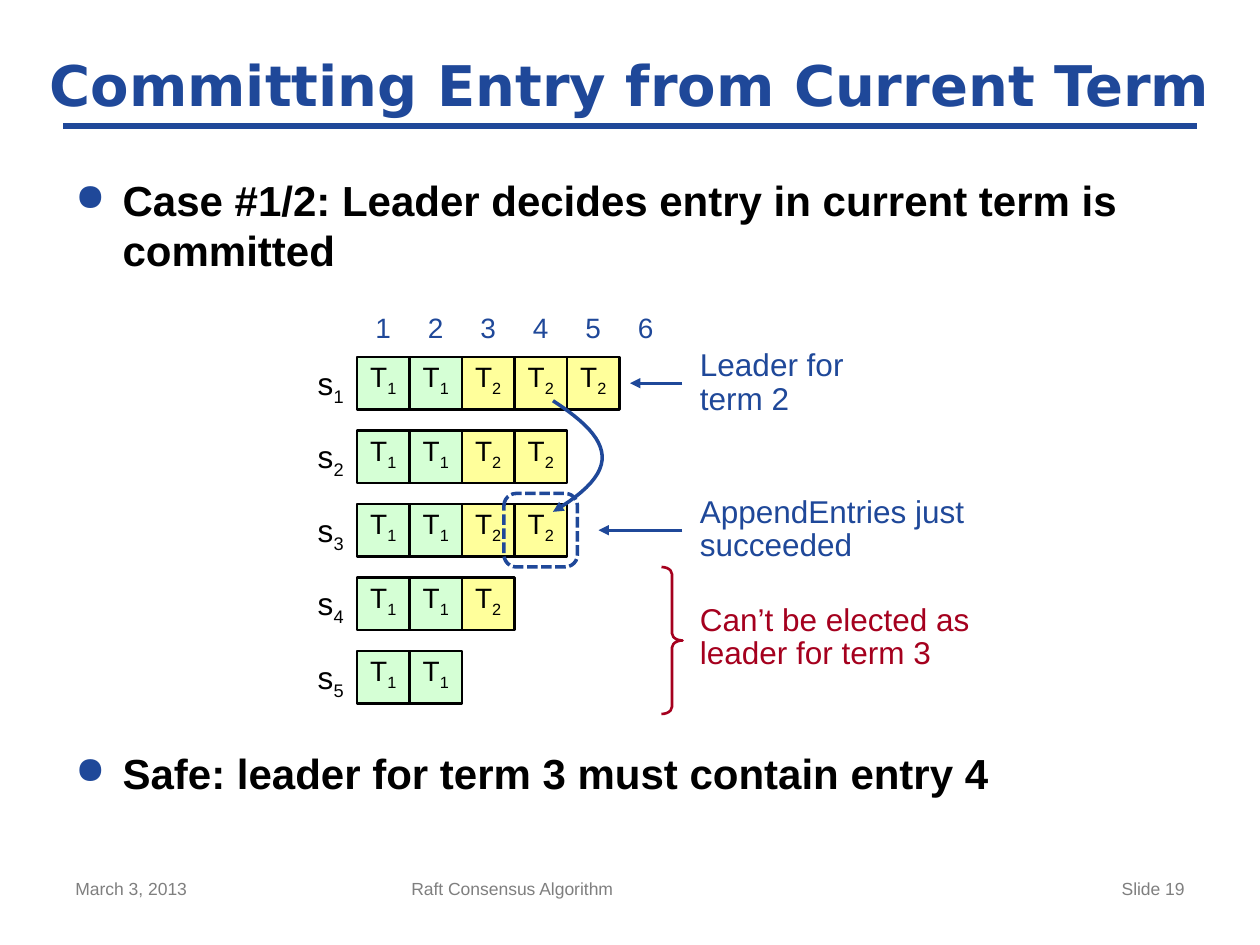
from dataclasses import dataclass

from lxml import etree
from pptx import Presentation
from pptx.dml.color import RGBColor
from pptx.enum.dml import MSO_LINE
from pptx.enum.shapes import MSO_CONNECTOR, MSO_SHAPE
from pptx.enum.text import MSO_ANCHOR, PP_ALIGN
from pptx.oxml.ns import qn
from pptx.util import Pt

LEFT, CENTER, RIGHT = PP_ALIGN.LEFT, PP_ALIGN.CENTER, PP_ALIGN.RIGHT
TOP, MIDDLE = MSO_ANCHOR.TOP, MSO_ANCHOR.MIDDLE
STRAIGHT = MSO_CONNECTOR.STRAIGHT
SHORT_DASH = MSO_LINE.SQUARE_DOT


@dataclass(frozen=True)
class Theme:
    body_font: str = "Arial"
    title_font: str = "DejaVu Sans"
    blue: str = "1F4899"
    red: str = "A5001E"
    gray: str = "7F7F7F"
    black: str = "000000"
    term_1: str = "D5FFD5"
    term_2: str = "FFFF9B"
    title_size: int = 32
    body_size: int = 24
    label_size: int = 18
    cell_size: int = 16
    footer_size: int = 10


theme = Theme()


def write(shape, text, *, size, color=theme.black, font=theme.body_font,
          bold=False, align=LEFT, anchor=TOP, spacing=None, inset=True):
    """Fill a shape with text: newline splits paragraphs, \\v breaks a line,
    and an underscore starts a subscript."""
    frame = shape.text_frame
    frame.word_wrap = True
    frame.vertical_anchor = anchor
    if not inset:
        frame.margin_left = frame.margin_right = 0
        frame.margin_top = frame.margin_bottom = 0
    for index, line in enumerate(text.split("\n")):
        paragraph = frame.add_paragraph() if index else frame.paragraphs[0]
        base, _, subscript = line.partition("_")
        paragraph.text = base
        if subscript:
            run = paragraph.add_run()
            run.text = subscript
            run.font._element.set("baseline", "-25000")
        paragraph.alignment = align
        if spacing:
            paragraph.line_spacing = Pt(spacing)
        for run in paragraph.runs:
            run.font.name = font
            run.font.size = Pt(size)
            run.font.bold = bold
            run.font.color.rgb = RGBColor.from_string(color)


def outline(shape, color, width, arrow=False):
    """Draw a shadowless line, with an arrowhead at its end if asked."""
    shape.line.color.rgb = RGBColor.from_string(color)
    shape.line.width = Pt(width)
    properties = shape._element.spPr
    if arrow:
        etree.SubElement(properties.find(qn("a:ln")), qn("a:tailEnd"), type="triangle")
    etree.SubElement(properties, qn("a:effectLst"))


presentation = Presentation()
presentation.slide_width, presentation.slide_height = Pt(720), Pt(540)
slide = presentation.slides.add_slide(presentation.slide_layouts[6])
shapes = slide.shapes

# Title and rule
rule = shapes.add_connector(STRAIGHT, Pt(36), Pt(72), Pt(684), Pt(72))
outline(rule, theme.blue, 4)
title = shapes.add_textbox(Pt(18), Pt(24), Pt(684), Pt(48))
write(title, "Committing Entry from Current Term", size=theme.title_size,
      color=theme.blue, font=theme.title_font, bold=True, align=CENTER, anchor=MIDDLE)

# Bullets, with the log diagram in the gap between them
body = shapes.add_textbox(Pt(36), Pt(96), Pt(648), Pt(387))
write(body, "Case #1/2: Leader decides entry in current term is committed\n"
            "Safe: leader for term 3 must contain entry 4",
      size=theme.body_size, bold=True)
body.text_frame.paragraphs[1].space_before = Pt(270)
for paragraph in body.text_frame.paragraphs:
    properties = paragraph._p.get_or_add_pPr()
    properties.set("marL", str(Pt(27)))
    properties.set("indent", str(-Pt(27)))
    bullet_color = etree.SubElement(properties, qn("a:buClr"))
    etree.SubElement(bullet_color, qn("a:srgbClr"), val=theme.blue)
    etree.SubElement(properties, qn("a:buSzPct"), val="90000")
    etree.SubElement(properties, qn("a:buChar"), char="●")

# Footer
for left, width, text, align in (
    (36, 168, "March 3, 2013", LEFT),
    (228, 270, "Raft Consensus Algorithm", LEFT),
    (516, 168, "Slide 19", RIGHT),
):
    footer = shapes.add_textbox(Pt(left), Pt(498), Pt(width), Pt(31))
    write(footer, text, size=theme.footer_size, color=theme.gray, align=align)

# Server logs: one row per server, one cell per entry, holding its term
log_left, log_top, cell, row_step = 204, 204, 30, 42
server_logs = ((1, 1, 2, 2, 2), (1, 1, 2, 2), (1, 1, 2, 2), (1, 1, 2), (1, 1))
term_fills = {1: theme.term_1, 2: theme.term_2}

for column in range(6):
    index_label = shapes.add_textbox(
        Pt(log_left + column * cell), Pt(174), Pt(cell), Pt(26.6))
    write(index_label, str(column + 1), size=theme.cell_size, color=theme.blue, align=CENTER)

for row, terms in enumerate(server_logs):
    top = log_top + row * row_step
    server = shapes.add_textbox(Pt(log_left - cell), Pt(top + 4), Pt(cell), Pt(21.6))
    write(server, f"s_{row + 1}", size=theme.label_size, align=CENTER, inset=False)
    for column, term in enumerate(terms):
        entry = shapes.add_shape(MSO_SHAPE.RECTANGLE, Pt(log_left + column * cell),
                                 Pt(top), Pt(cell), Pt(cell))
        entry.fill.solid()
        entry.fill.fore_color.rgb = RGBColor.from_string(term_fills[term])
        outline(entry, theme.black, 1.5)
        write(entry, f"T_{term}", size=theme.cell_size, align=CENTER, anchor=MIDDLE,
              spacing=17, inset=False)

# Highlight around the entry just appended
highlight = shapes.add_shape(MSO_SHAPE.ROUNDED_RECTANGLE, Pt(288), Pt(282), Pt(42), Pt(42))
highlight.fill.background()
outline(highlight, theme.blue, 2)
highlight.line.dash_style = SHORT_DASH

# Replication arrow from s1 to s3, sampled along a cubic curve
controls = ((316, 229), (351.5, 252), (355.5, 269), (316, 292.5))
steps = 24
curve = []
for step in range(steps + 1):
    t = step / steps
    weights = ((1 - t) ** 3, 3 * t * (1 - t) ** 2, 3 * t * t * (1 - t), t ** 3)
    curve.append(tuple(Pt(sum(weight * point[axis] for weight, point in zip(weights, controls)))
                       for axis in (0, 1)))
builder = shapes.build_freeform(*curve[0])
builder.add_line_segments(curve[1:], close=False)
replication = builder.convert_to_shape()
replication.fill.background()
outline(replication, theme.blue, 2, arrow=True)

# Brace and annotations
brace = shapes.add_shape(MSO_SHAPE.RIGHT_BRACE, Pt(378), Pt(324), Pt(12), Pt(84))
brace.adjustments[0] = 0.34
brace.fill.background()
outline(brace, theme.red, 1.5)

for top, width, text, color in (
    (200, 102, "Leader for\vterm 2", theme.blue),
    (283.5, 200, "AppendEntries just\vsucceeded", theme.blue),
    (345.5, 200, "Can’t be elected as\vleader for term 3", theme.red),
):
    note = shapes.add_textbox(Pt(400), Pt(top), Pt(width), Pt(38))
    write(note, text, size=theme.label_size, color=color, spacing=19, inset=False)

for arrow_tip, arrow_y in ((360, 219), (342, 303)):
    pointer = shapes.add_connector(STRAIGHT, Pt(390), Pt(arrow_y), Pt(arrow_tip), Pt(arrow_y))
    outline(pointer, theme.blue, 1.5, arrow=True)

presentation.save("out.pptx")
